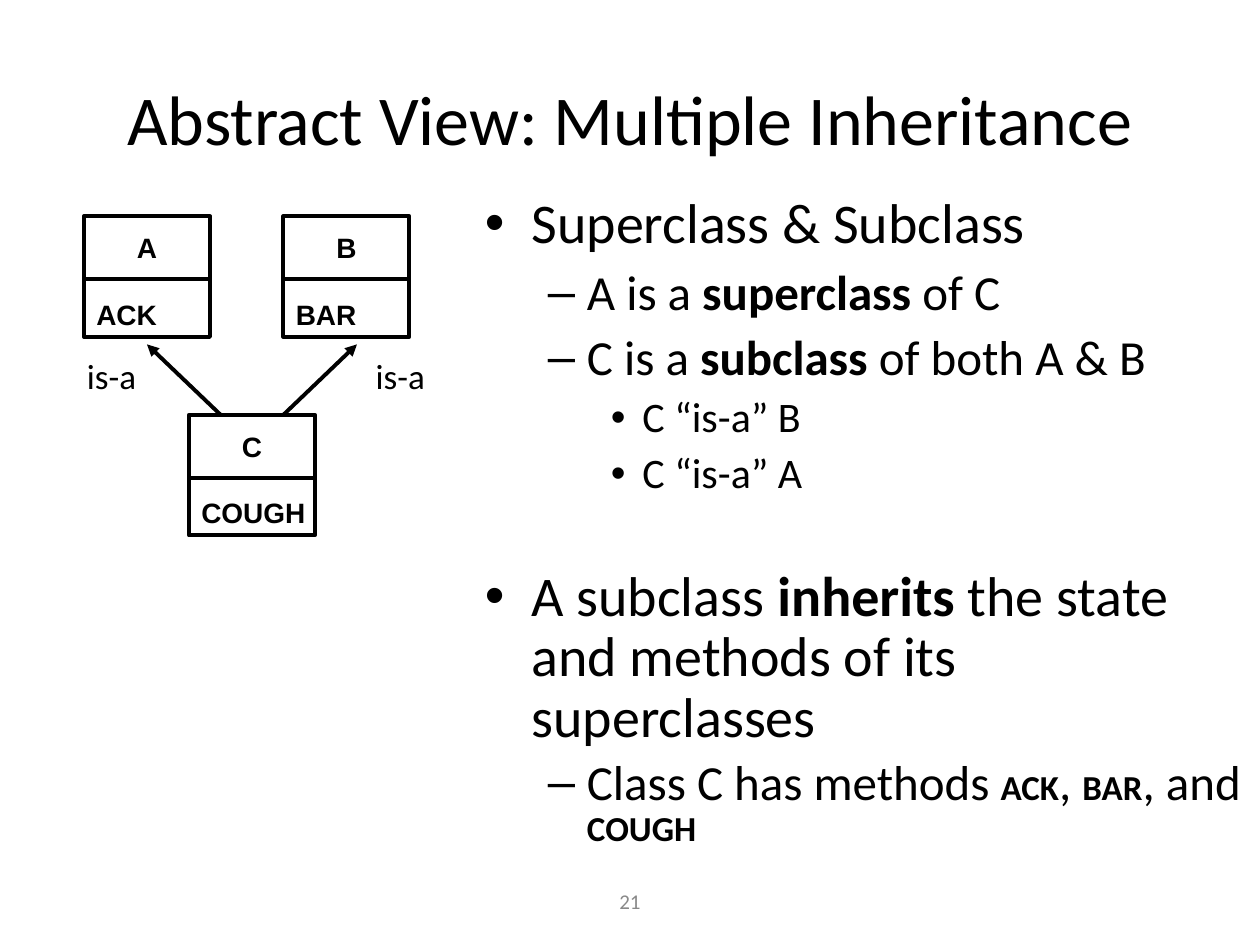
from lxml.etree import SubElement
from pptx import Presentation
from pptx.dml.color import RGBColor
from pptx.enum.shapes import MSO_CONNECTOR, MSO_SHAPE
from pptx.enum.text import MSO_ANCHOR, PP_ALIGN
from pptx.oxml.ns import qn
from pptx.util import Inches, Pt

COLORS = {"ink": "000000", "number": "898989"}
GRID = Inches(1) / 12
CLASS_WIDTH, NAME_ROWS, METHOD_ROWS = 12, 6, 5.5

LEVELS = [
    {"size": 32, "bullet": "•", "margin": 0.37, "hang": 0.37},
    {"size": 28, "bullet": "–", "margin": 0.81, "hang": 0.31},
    {"size": 24, "bullet": "•", "margin": 1.25, "hang": 0.25},
]

POINTS = [
    (0, 0, [("Superclass & Subclass", False, 32)]),
    (1, 7, [("A is a ", False, 28), ("superclass", True, 28), (" of C", False, 28)]),
    (1, 7, [("C is a ", False, 28), ("subclass", True, 28), (" of both A & B", False, 28)]),
    (2, 6, [("C “is-a” B", False, 24)]),
    (2, 6, [("C “is-a” A", False, 24)]),
    (0, 40, [("A subclass ", False, 32), ("inherits", True, 32),
             (" the state and methods of its superclasses", False, 32)]),
    (1, 5, [("Class C has methods ", False, 28), ("ACK", True, 20), (", ", False, 28),
            ("BAR", True, 20), (", and ", False, 28), ("COUGH", True, 20)]),
]

CLASSES = [("A", "ACK", 8, 20.6), ("B", "BAR", 27, 20.6), ("C", "COUGH", 18, 39.5)]
INHERITANCE = [((21, 39.5), (14, 32.8)), ((27, 39.5), (34, 32.8))]
RELATION_COLUMNS = [7.1, 34.6]


def cells(*counts):
    return [round(count * GRID) for count in counts]


def rgb(name):
    return RGBColor.from_string(COLORS[name])


def apply(target, formats):
    for attribute, value in formats.items():
        setattr(target, attribute, value)


def add_run(paragraph, text, size, bold=False, face="Calibri", color="ink"):
    run = paragraph.add_run()
    run.text = text
    apply(run.font, {"size": Pt(size), "bold": bold, "name": face})
    run.font.color.rgb = rgb(color)


def add_label(slide, text, area, size, color="ink", align=PP_ALIGN.CENTER,
              anchor=MSO_ANCHOR.MIDDLE):
    frame = slide.shapes.add_textbox(*cells(*area)).text_frame
    apply(frame, {"word_wrap": True, "vertical_anchor": anchor})
    frame.paragraphs[0].alignment = align
    add_run(frame.paragraphs[0], text, size, color=color)


def add_compartment(slide, text, area, align, anchor):
    compartment = slide.shapes.add_shape(MSO_SHAPE.RECTANGLE, *cells(*area))
    compartment.shadow.inherit = False
    compartment.fill.background()
    compartment.line.color.rgb = rgb("ink")
    compartment.line.width = Pt(2.25)
    frame = compartment.text_frame
    apply(frame, {"word_wrap": True, "vertical_anchor": anchor, "margin_right": 0})
    if align == PP_ALIGN.CENTER:
        frame.margin_left = 0
    frame.paragraphs[0].alignment = align
    add_run(frame.paragraphs[0], text, 16, True, "Arial")


def add_class(slide, name, method, column, row):
    add_compartment(slide, name, (column, row, CLASS_WIDTH, NAME_ROWS),
                    PP_ALIGN.CENTER, MSO_ANCHOR.MIDDLE)
    add_compartment(slide, method, (column, row + NAME_ROWS, CLASS_WIDTH, METHOD_ROWS),
                    PP_ALIGN.LEFT, MSO_ANCHOR.BOTTOM)


def add_inheritance_arrow(slide, subclass, superclass):
    arrow = slide.shapes.add_connector(MSO_CONNECTOR.STRAIGHT,
                                       *cells(*subclass, *superclass))
    arrow.line.color.rgb = rgb("ink")
    arrow.line.width = Pt(2.25)
    SubElement(arrow.line._get_or_add_ln(), qn("a:tailEnd"), type="triangle")
    SubElement(arrow._element.spPr, qn("a:effectLst"))


def add_bullet(paragraph, level):
    properties = paragraph._p.get_or_add_pPr()
    properties.set("marL", str(Inches(level["margin"])))
    properties.set("indent", str(-Inches(level["hang"])))
    bullet_color = SubElement(properties, qn("a:buClr"))
    SubElement(bullet_color, qn("a:srgbClr"), val=COLORS["ink"])
    SubElement(properties, qn("a:buFont"), typeface="Arial")
    SubElement(properties, qn("a:buChar"), char=level["bullet"])


def add_points(slide, points, area):
    frame = slide.shapes.add_textbox(*cells(*area)).text_frame
    frame.word_wrap = True
    for index, (depth, gap, pieces) in enumerate(points):
        paragraph = frame.add_paragraph() if index else frame.paragraphs[0]
        add_bullet(paragraph, LEVELS[depth])
        apply(paragraph, {"level": depth, "line_spacing": 0.9, "space_before": Pt(gap)})
        for text, bold, size in pieces:
            add_run(paragraph, text, size, bold)


def main():
    presentation = Presentation()
    apply(presentation, {"slide_width": Inches(10), "slide_height": Inches(7.5)})
    slide = presentation.slides.add_slide(presentation.slide_layouts[6])
    add_label(slide, "21", (41, 83.4, 38, 4.8), 12, "number")
    add_label(slide, "Abstract View: Multiple Inheritance", (6, 2.8, 108, 16.8), 40)
    for name, method, column, row in CLASSES:
        add_class(slide, name, method, column, row)
    for subclass, superclass in INHERITANCE:
        add_inheritance_arrow(slide, subclass, superclass)
    for column in RELATION_COLUMNS:
        add_label(slide, "is-a", (column, 33.2, 7.2, 5.3), 20,
                  align=PP_ALIGN.LEFT, anchor=MSO_ANCHOR.TOP)
    add_points(slide, POINTS, (45, 18, 75, 69))
    presentation.save("out.pptx")


if __name__ == "__main__":
    main()
